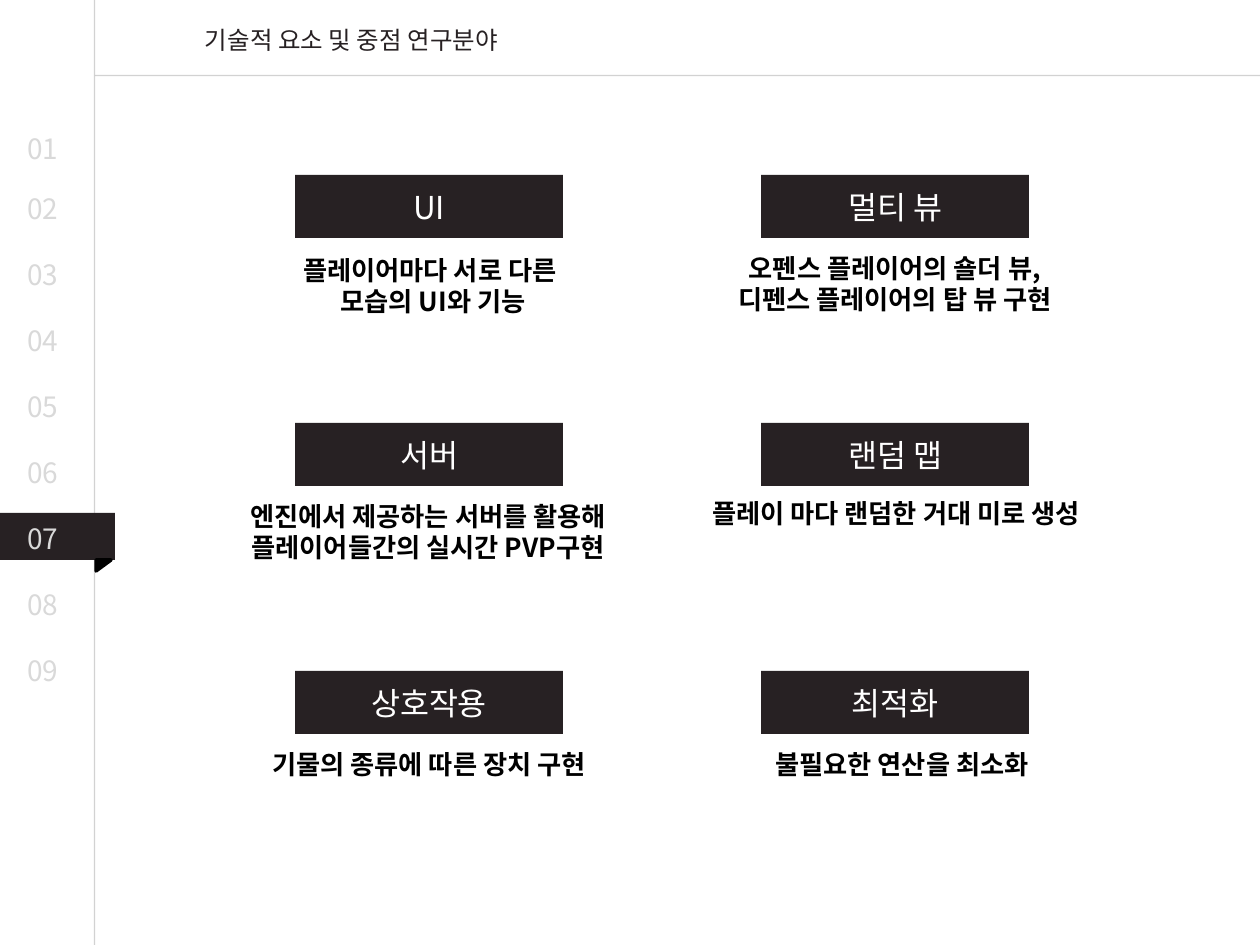
from lxml.etree import SubElement
from pptx import Presentation
from pptx.dml.color import RGBColor
from pptx.enum.shapes import MSO_CONNECTOR, MSO_SHAPE
from pptx.enum.text import MSO_ANCHOR, PP_ALIGN
from pptx.oxml.ns import qn
from pptx.util import Pt

# Content: heading, caption lines, caption box (centre x, top, width, height)
TITLE = "기술적 요소 및 중점 연구분야"
TOPICS = [
    ("UI", ["플레이어마다 서로 다른 ", "모습의 UI와 기능"], (433, 248, 318, 77)),
    ("멀티 뷰", ["오펜스 플레이어의 숄더 뷰,", "디펜스 플레이어의 탑 뷰 구현"],
     (895, 246, 379, 108)),
    ("서버", ["엔진에서 제공하는 서버를 활용해", "플레이어들간의 실시간 PVP구현"],
     (428, 494, 446, 77)),
    ("랜덤 맵", ["플레이 마다 랜덤한 거대 미로 생성"], (896, 491, 450, 44)),
    ("상호작용", ["기물의 종류에 따른 장치 구현"], (429, 742, 407, 44)),
    ("최적화", ["불필요한 연산을 최소화"], (902, 742, 413, 44)),
]
PAGES = [f"{n:02}" for n in range(1, 10)]

FONT = "Noto Sans CJK KR"
DARK, BLACK, WHITE, PALE, RULE = "272123", "000000", "FFFFFF", "D9D9D9", "A6A6A6"
LABEL = {"size": Pt(18)}
CAPTION = {"size": Pt(15), "bold": True}
PX = 914400 / 126


def px(*values):
    return [round(v * PX) for v in values]


def rgb(hex_code):
    return RGBColor.from_string(hex_code)


def write(shape, lines, color, fmt, align=PP_ALIGN.CENTER, anchor=MSO_ANCHOR.TOP):
    tf = shape.text_frame
    tf.word_wrap = True
    tf.vertical_anchor = anchor
    for i, line in enumerate(lines):
        p = tf.add_paragraph() if i else tf.paragraphs[0]
        p.alignment = align
        r = p.add_run()
        r.text = line
        r.font.name = FONT
        r.font.color.rgb = rgb(color)
        for name, value in fmt.items():
            setattr(r.font, name, value)
        SubElement(r.font._element, qn("a:ea"), typeface=FONT)


def add_text(s, box, *args, **kwargs):
    write(s.shapes.add_textbox(*px(*box)), *args, **kwargs)


def add_block(s, kind, box, color):
    sp = s.shapes.add_shape(kind, *px(*box))
    sp.shadow.inherit = False
    sp.fill.solid()
    sp.fill.fore_color.rgb = rgb(color)
    sp.line.fill.background()
    return sp


def add_rule(s, *ends):
    line = s.shapes.add_connector(MSO_CONNECTOR.STRAIGHT, *px(*ends))
    line.line.color.rgb = rgb(RULE)
    line.line.width = Pt(0.75)
    for color in line._element.spPr.iter(qn("a:srgbClr")):
        SubElement(color, qn("a:alpha"), val="50000")
    SubElement(line._element.spPr, qn("a:effectLst"))


prs = Presentation()
prs.slide_width, prs.slide_height = px(1260, 945)
s = prs.slides.add_slide(prs.slide_layouts[5])

# Frame lines and title
add_rule(s, 94.5, 0, 94.5, 945)
add_rule(s, 95, 75.5, 1260, 75.5)
title = s.shapes.title
title.left, title.top, title.width, title.height = px(143, 19, 417, 42)
write(title, [TITLE], DARK, {"size": Pt(14)})

# Tab behind the current page number, with its folded corner
add_block(s, MSO_SHAPE.RECTANGLE, (0, 513, 115, 47), DARK)
fold = add_block(s, MSO_SHAPE.RIGHT_TRIANGLE, (98, 558, 11, 15), BLACK)
fold.rotation = 90
fold.line.color.rgb = rgb(BLACK)
fold.line.width = Pt(2)

# Page numbers
for i, page in enumerate(PAGES):
    top = 119 + 66 * i if i else 125
    add_text(s, (15, top, 62, 47), [page], PALE, {"size": Pt(16)}, align=PP_ALIGN.LEFT)

# Topics in two columns
for i, (label, caption, (centre, top, width, height)) in enumerate(TOPICS):
    row, col = divmod(i, 2)
    box = (295 + 466 * col, 175 + 248 * row, 268, 63)
    block = add_block(s, MSO_SHAPE.RECTANGLE, box, DARK)
    write(block, [label], WHITE, LABEL, anchor=MSO_ANCHOR.MIDDLE)
    add_text(s, (centre - width / 2, top, width, height), caption, BLACK, CAPTION)

prs.save("out.pptx")
